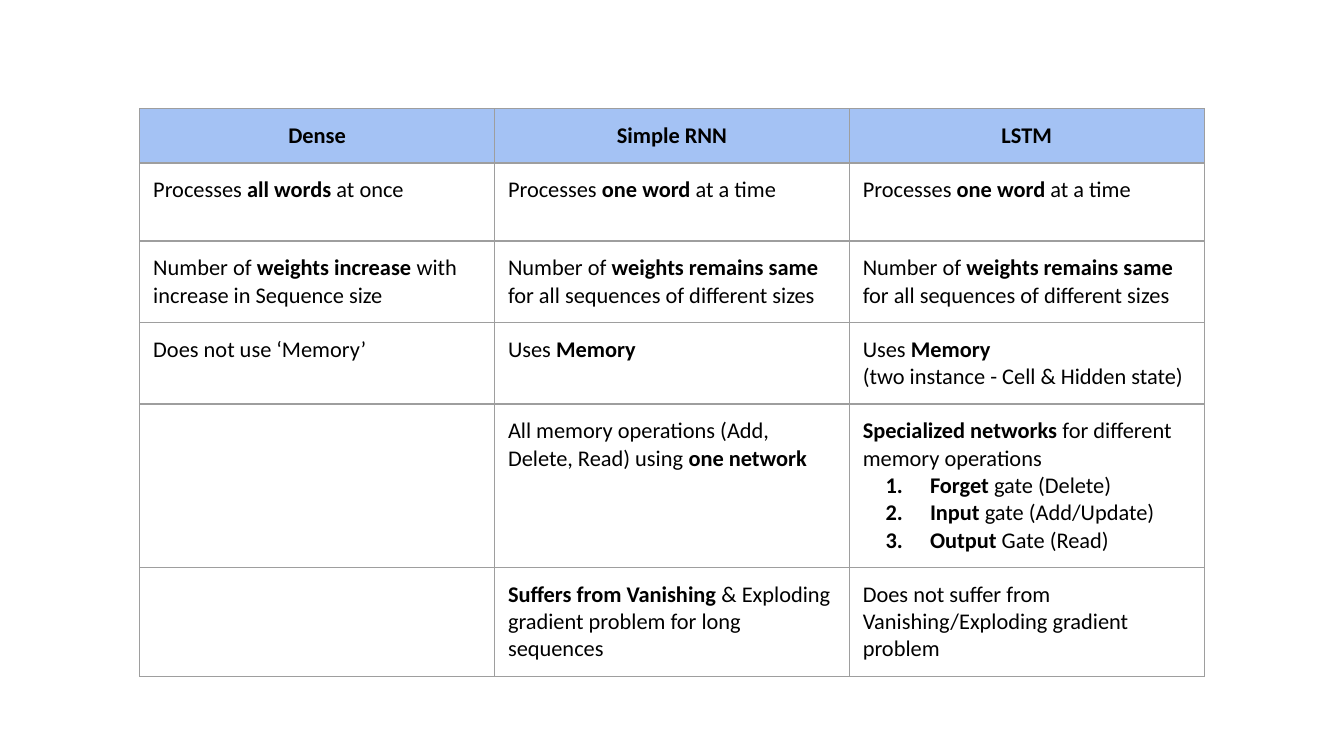
from lxml.etree import SubElement
from pptx import Presentation
from pptx.dml.color import RGBColor
from pptx.enum.text import PP_ALIGN as Align
from pptx.oxml.ns import qn
from pptx.util import Inches, Pt

COLORS = {"header": "A4C2F4", "border": "9E9E9E", "text": "000000"}
FONT = "Calibri"
COLUMN_WIDTH = 2.64
ROW_HEIGHTS = [0.37] + [0.58] * 5

# Text between ** marks is bold; lines starting with # are numbered
ONE_WORD = "Processes **one word** at a time"
SAME_WEIGHTS = "Number of **weights remains same** for all sequences of different sizes"
ROWS = [
    [["**Dense**"], ["**Simple RNN**"], ["**LSTM**"]],
    [["Processes **all words** at once"], [ONE_WORD], [ONE_WORD]],
    [["Number of **weights increase** with increase in Sequence size"],
     [SAME_WEIGHTS], [SAME_WEIGHTS]],
    [["Does not use ‘Memory’"], ["Uses **Memory**"],
     ["Uses **Memory**", "(two instance - Cell & Hidden state)"]],
    [[], ["All memory operations (Add, Delete, Read) using **one network**"],
     ["**Specialized networks** for different memory operations",
      "#**Forget** gate (Delete)",
      "#**Input** gate (Add/Update)",
      "#**Output** Gate (Read)"]],
    [[], ["**Suffers from Vanishing** & Exploding gradient problem for long sequences"],
     ["Does not suffer from Vanishing/Exploding gradient problem"]],
]


def color(name):
    return RGBColor.from_string(COLORS[name])


def add_solid_fill(parent, tag, name):
    fill = SubElement(parent, qn(tag))
    SubElement(fill, qn("a:srgbClr"), val=COLORS[name])


def add_borders(cell):
    properties = cell._tc.get_or_add_tcPr()
    for side in ("L", "R", "T", "B"):
        line = SubElement(properties, qn(f"a:ln{side}"), w=str(Pt(0.75)))
        add_solid_fill(line, "a:solidFill", "border")


def add_number(paragraph):
    properties = paragraph._p.get_or_add_pPr()
    properties.set("marL", str(Inches(0.5)))
    properties.set("indent", str(Inches(-0.33)))
    add_solid_fill(properties, "a:buClr", "text")
    SubElement(properties, qn("a:buAutoNum"), type="arabicPeriod")


def write_paragraph(paragraph, line, align):
    if line.startswith("#"):
        add_number(paragraph)
    paragraph.alignment = align
    font = paragraph.font
    font.name, font.size = FONT, Pt(12)
    font.color.rgb = color("text")
    for index, part in enumerate(line.lstrip("#").split("**")):
        if part:
            run = paragraph.add_run()
            run.text = part
            run.font.bold = index % 2 == 1


def fill_cell(cell, lines, is_header):
    cell.margin_left = cell.margin_right = Inches(0.1)
    cell.margin_top = cell.margin_bottom = Inches(0.1)
    add_borders(cell)
    if is_header:
        cell.fill.solid()
        cell.fill.fore_color.rgb = color("header")
    else:
        cell.fill.background()
    frame = cell.text_frame
    for index, line in enumerate(lines):
        paragraph = frame.add_paragraph() if index else frame.paragraphs[0]
        write_paragraph(paragraph, line, Align.CENTER if is_header else Align.LEFT)


def add_comparison_table(slide):
    column_count = len(ROWS[0])
    table = slide.shapes.add_table(
        len(ROWS), column_count, Inches(1.04), Inches(0.81),
        Inches(COLUMN_WIDTH * column_count), Inches(sum(ROW_HEIGHTS))).table
    table.first_row = table.horz_banding = False
    for column in table.columns:
        column.width = Inches(COLUMN_WIDTH)
    for row_index, (row, height) in enumerate(zip(table.rows, ROW_HEIGHTS)):
        row.height = Inches(height)
        for cell, lines in zip(row.cells, ROWS[row_index]):
            fill_cell(cell, lines, row_index == 0)


def main():
    presentation = Presentation()
    # Widescreen page, 16:9
    presentation.slide_width = Inches(10)
    presentation.slide_height = Inches(10) * 9 // 16
    # Blank layout: the slide holds only the table
    slide = presentation.slides.add_slide(presentation.slide_layouts[6])
    add_comparison_table(slide)
    presentation.save("out.pptx")


if __name__ == "__main__":
    main()
